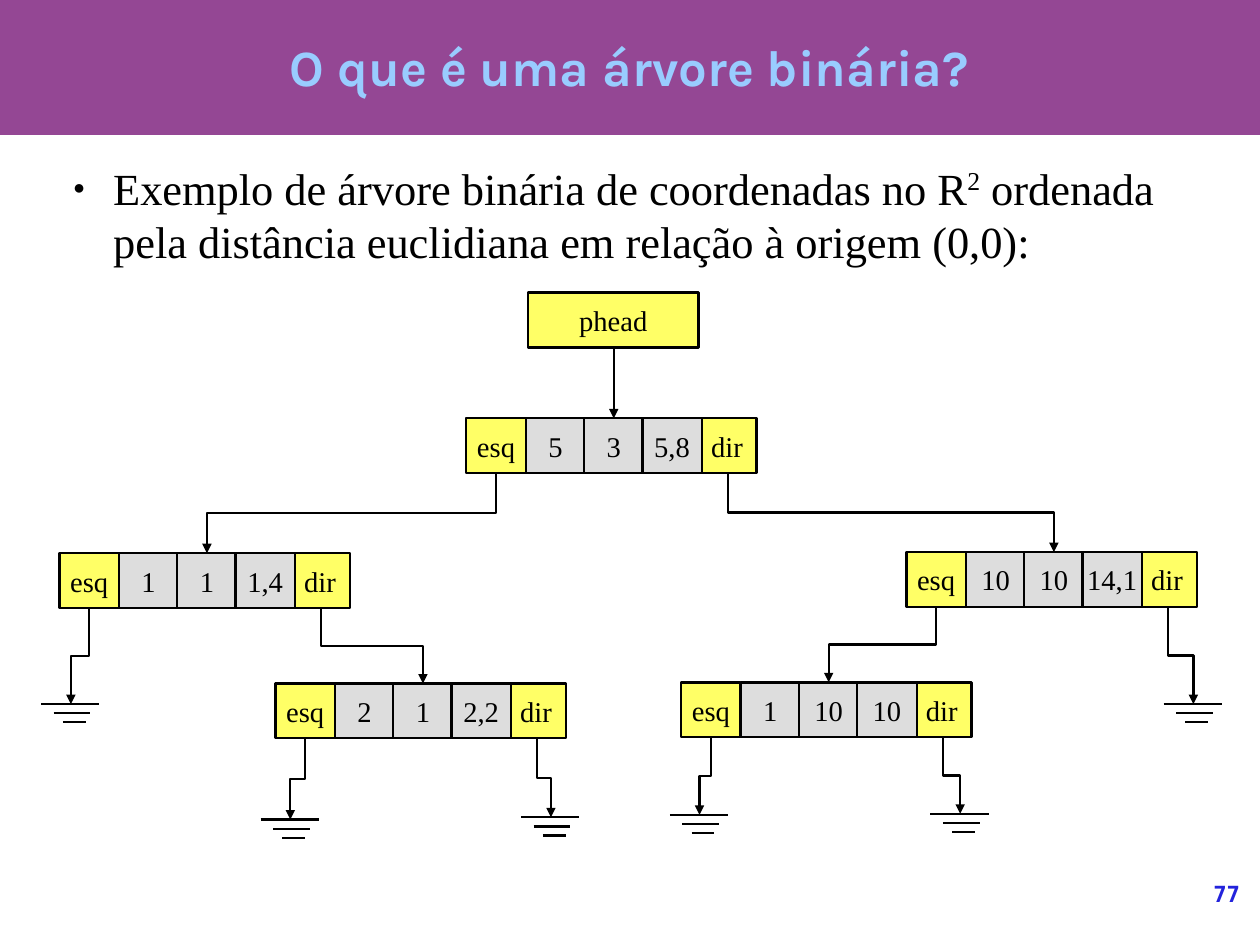
"""Build the slide that explains a binary tree of coordinates."""
from lxml.etree import SubElement
from pptx import Presentation
from pptx.dml.color import RGBColor
from pptx.enum.shapes import MSO_CONNECTOR, MSO_SHAPE
from pptx.enum.text import MSO_ANCHOR, MSO_AUTO_SIZE, PP_ALIGN
from pptx.oxml.ns import qn
from pptx.util import Inches, Pt

PURPLE = RGBColor(0x94, 0x47, 0x94)
SKY = RGBColor(0x99, 0xCC, 0xFF)
YELLOW = RGBColor(0xFF, 0xFF, 0x66)
GRAY = RGBColor(0xDD, 0xDD, 0xDD)
BLACK = RGBColor(0, 0, 0)
BLUE = RGBColor(0x23, 0x23, 0xDC)

TITLE = {"name": "Karla", "size": Pt(32), "bold": True}
BODY = {"name": "Times New Roman", "size": Pt(28)}
CELL = {"name": "Times New Roman", "size": Pt(18)}
NUMBER = {"name": "DejaVu Sans Mono", "size": Pt(14), "bold": True}
NO_MARGINS = {"margin_left": 0, "margin_right": 0, "margin_top": 0, "margin_bottom": 0}
CELL_FRAME = {
    "margin_left": Inches(0.11), "margin_right": Inches(0.11),
    "margin_top": Inches(0.06), "margin_bottom": Inches(0.06),
    "vertical_anchor": MSO_ANCHOR.MIDDLE, "word_wrap": False,
}
LINE_WIDTH = Pt(1.45)
CELL_W, CELL_H = 0.52, 0.48
VALUE_STEP, DIR_OFFSET = 0.51, 2.02
ESQ_EXIT, DIR_EXIT, ENTRY = 0.26, 2.29, 1.29


def write(sp, runs, fmt, color, align, frame):
    tf = sp.text_frame
    for key, value in frame.items():
        setattr(tf, key, value)
    p = tf.paragraphs[0]
    p.alignment = align
    for text in runs:
        r = p.add_run()
        r.text = text
        r.font.color.rgb = color
        for key, value in fmt.items():
            setattr(r.font, key, value)
    return p


def draw_line(shapes, kind, x1, y1, x2, y2, arrow=False):
    c = shapes.add_connector(kind, Inches(x1), Inches(y1), Inches(x2), Inches(y2))
    c.line.color.rgb = BLACK
    c.line.width = LINE_WIDTH
    SubElement(c._element.spPr, qn("a:effectLst"))
    if arrow:
        SubElement(c.line._get_or_add_ln(), qn("a:tailEnd"), type="triangle")
    return c


prs = Presentation()
prs.slide_width, prs.slide_height = Inches(28 / 2.54), Inches(21 / 2.54)
s = prs.slides.add_slide(prs.slide_layouts[1])
title, body = s.placeholders

band = s.shapes.add_shape(MSO_SHAPE.RECTANGLE, 0, Inches(-0.01), prs.slide_width, Inches(1.19))
band.shadow.inherit = False
band.fill.solid()
band.fill.fore_color.rgb = PURPLE
band.line.fill.background()
title._element.addprevious(band._element)

number = s.shapes.add_textbox(0, 0, 0, 0)
for sp, x, y, w, h in [
    (title, 0.55, -0.01, 9.92, 1.18),
    (body, 0.52, 1.41, 10.04, 1.15),
    (number, 9.17, 7.7, 1.68, 0.57),
]:
    sp.left, sp.top, sp.width, sp.height = Inches(x), Inches(y), Inches(w), Inches(h)

text_frame = {**NO_MARGINS, "word_wrap": True, "auto_size": MSO_AUTO_SIZE.NONE}
write(title, ["O que é uma árvore binária?"], TITLE, SKY, PP_ALIGN.CENTER,
      {**text_frame, "vertical_anchor": MSO_ANCHOR.MIDDLE})
write(number, ["77"], NUMBER, BLUE, PP_ALIGN.RIGHT, text_frame)
p = write(body, ["Exemplo de árvore binária de coordenadas no R", "2",
                 " ordenada pela distância euclidiana em relação à origem (0,0):"],
          BODY, BLACK, PP_ALIGN.LEFT, {**text_frame, "vertical_anchor": MSO_ANCHOR.TOP})
p.runs[1].font._element.set("baseline", "33000")
p.space_before, p.space_after, p.line_spacing = Pt(0), Pt(14.2), 1.0
pPr = p._p.get_or_add_pPr()
pPr.set("marL", str(Inches(0.47)))
pPr.set("indent", str(Inches(-0.35)))
SubElement(SubElement(pPr, qn("a:buClr")), qn("a:srgbClr"), val=str(BLACK))
SubElement(pPr, qn("a:buSzPct"), val="45000")
SubElement(pPr, qn("a:buChar"), char="●")

nodes = {
    "root": (4.08, 3.66, ["5", "3", "5,8"]),
    "left": (0.52, 4.84, ["1", "1", "1,4"]),
    "right": (7.93, 4.83, ["10", "10", "14,1"]),
    "left_dir": (2.41, 5.98, ["2", "1", "2,2"]),
    "right_esq": (5.96, 5.97, ["1", "10", "10"]),
}
grounds = {
    "left": {ESQ_EXIT: (0.62, 6.16)},
    "right": {DIR_EXIT: (10.44, 6.16)},
    "left_dir": {ESQ_EXIT: (2.54, 7.17), DIR_EXIT: (4.82, 7.15)},
    "right_esq": {ESQ_EXIT: (6.12, 7.13), DIR_EXIT: (8.4, 7.12)},
}
children = [
    ("root", ESQ_EXIT, "left"), ("root", DIR_EXIT, "right"),
    ("left", DIR_EXIT, "left_dir"), ("right", ESQ_EXIT, "right_esq"),
]

links = [(parent, exit_x, nodes[child][0] + ENTRY, nodes[child][1])
         for parent, exit_x, child in children]
for parent, ends in grounds.items():
    for exit_x, (x, y) in ends.items():
        links.append((parent, exit_x, x, y))
        ground = s.shapes.add_group_shape()
        for i, (before, after) in enumerate([(0.26, 0.25), (0.15, 0.17), (0.07, 0.13)]):
            bar_y = y + 0.08 * i
            draw_line(ground.shapes, MSO_CONNECTOR.STRAIGHT, x - before, bar_y, x + after, bar_y)

draw_line(s.shapes, MSO_CONNECTOR.STRAIGHT, 5.37, 3.04, 5.37, 3.66, arrow=True)
for parent, exit_x, x2, y2 in links:
    x1, y1 = nodes[parent][0] + exit_x, nodes[parent][1] + CELL_H
    mid_x, mid_y = (x1 + x2) / 2, (y1 + y2) / 2
    side = 1 if x2 > x1 else -1
    half_drop, half_span = side * (y2 - y1) / 2, abs(x2 - x1) / 2
    c = draw_line(s.shapes, MSO_CONNECTOR.ELBOW, mid_x + half_drop, mid_y - half_span,
                  mid_x - half_drop, mid_y + half_span, arrow=True)
    c._element.spPr.xfrm.set("rot", str((180 + 90 * side) * 60000))

boxes = [("phead", 4.62, 2.56, 1.49, YELLOW)]
for x, y, values in nodes.values():
    boxes += [("esq", x, y, CELL_W, YELLOW), ("dir", x + DIR_OFFSET, y, CELL_W, YELLOW)]
    boxes += [(value, x + 0.01 + VALUE_STEP * i, y, CELL_W, GRAY)
              for i, value in enumerate(values, 1)]
for text, x, y, w, color in boxes:
    sp = s.shapes.add_shape(MSO_SHAPE.RECTANGLE, Inches(x), Inches(y), Inches(w), Inches(CELL_H))
    sp.shadow.inherit = False
    sp.fill.solid()
    sp.fill.fore_color.rgb = color
    sp.line.color.rgb = BLACK
    sp.line.width = LINE_WIDTH
    write(sp, [text], CELL, BLACK, PP_ALIGN.CENTER, CELL_FRAME)

prs.save("out.pptx")
